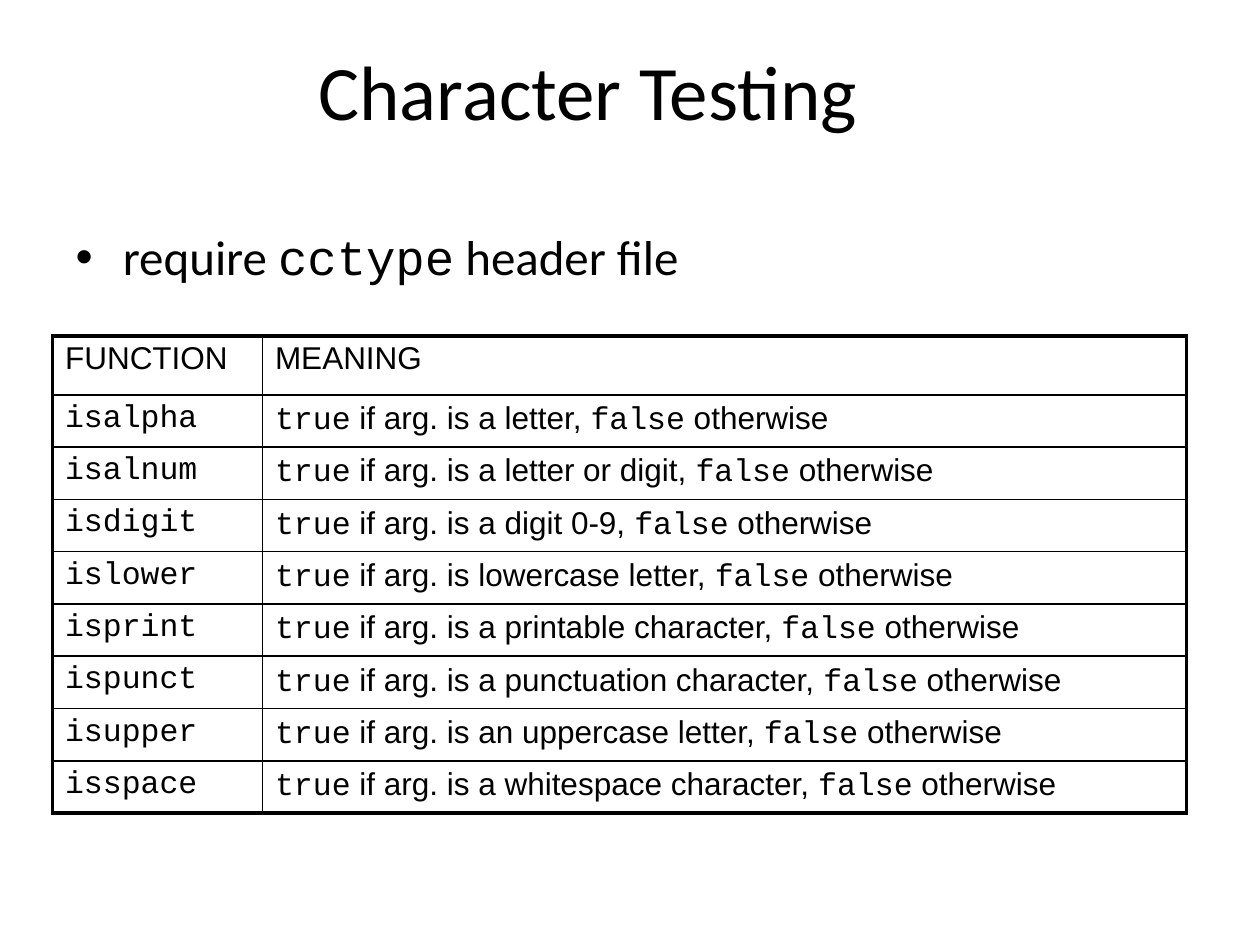
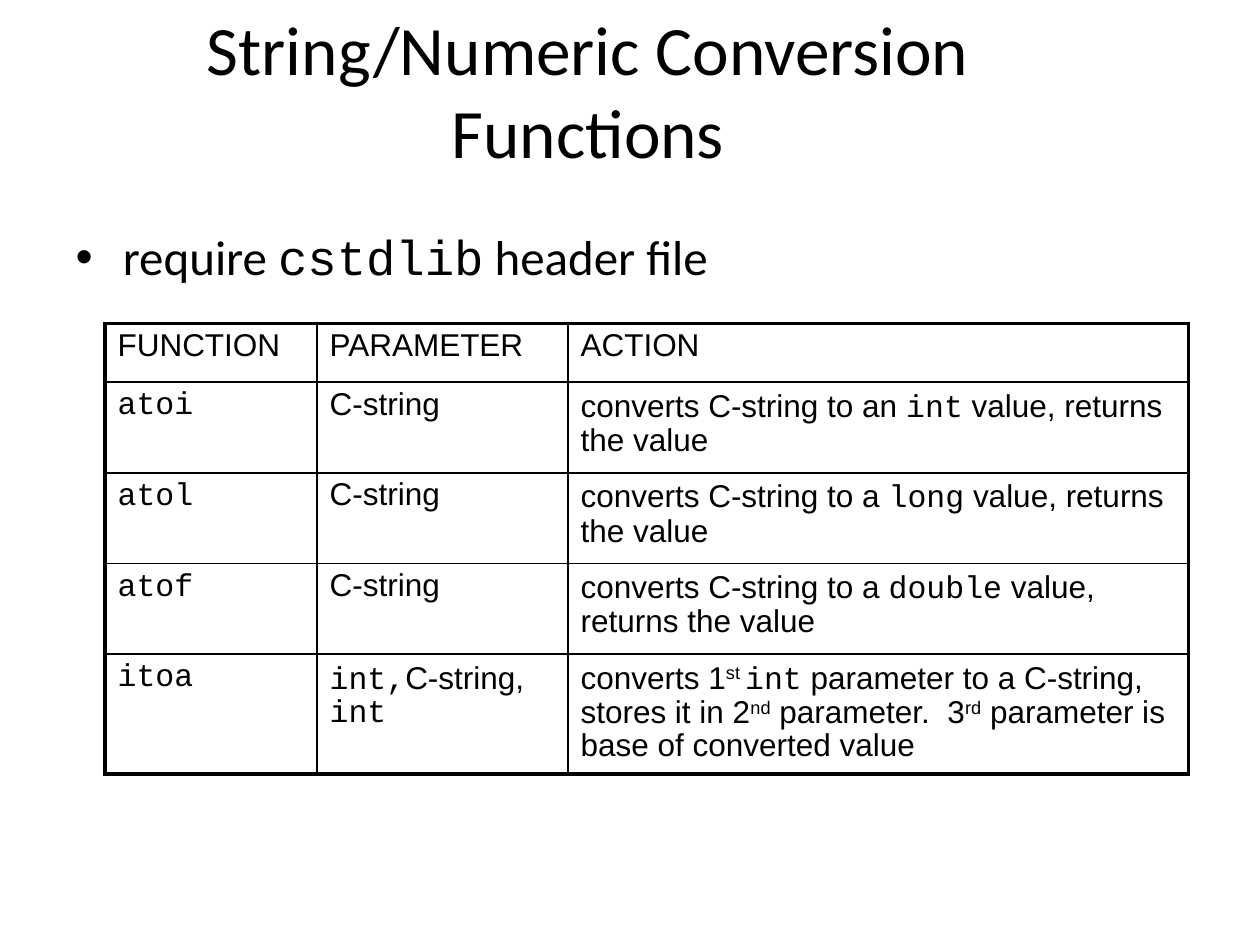
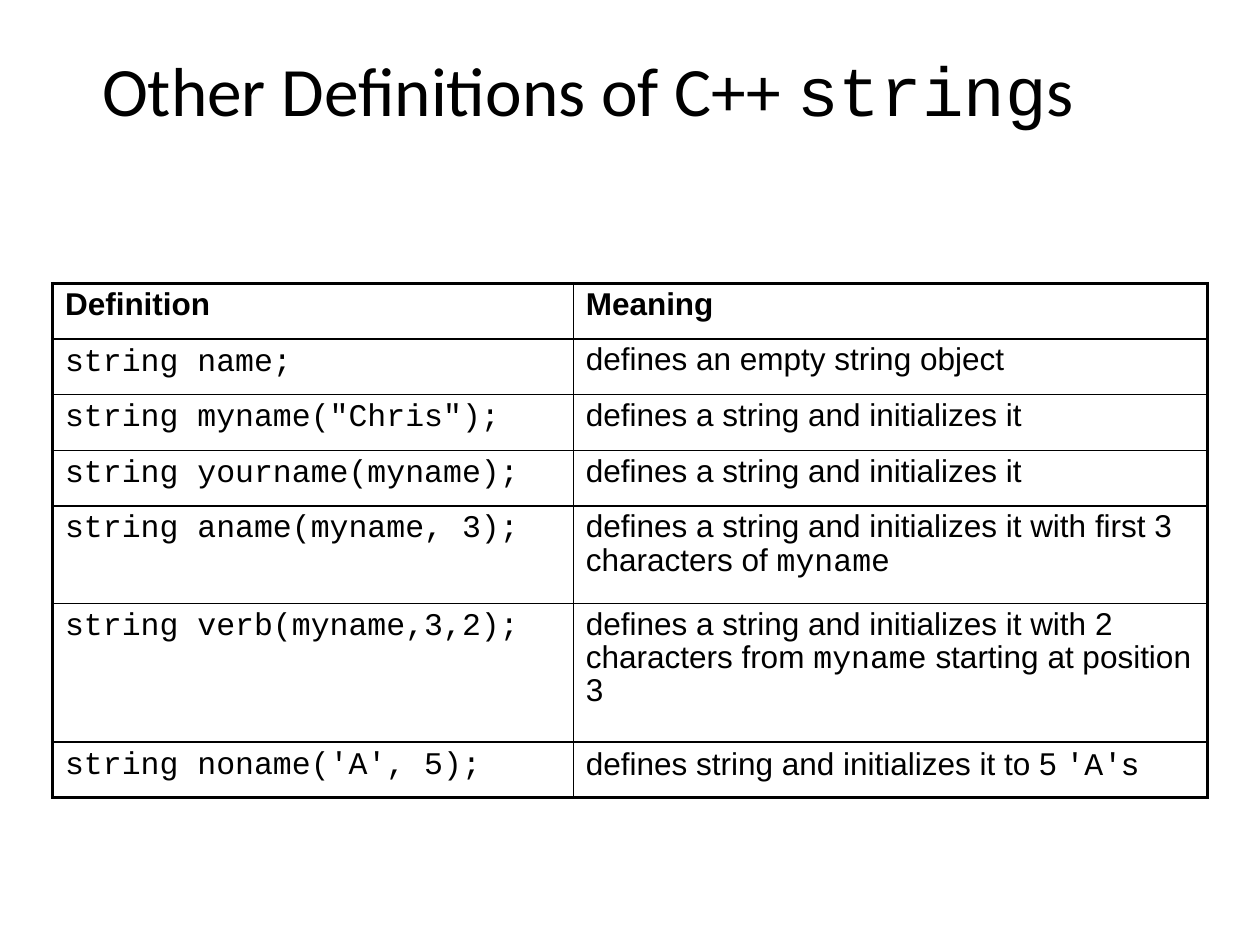
from dataclasses import dataclass

from lxml.etree import SubElement
from pptx import Presentation
from pptx.dml.color import RGBColor
from pptx.enum.text import MSO_ANCHOR, MSO_AUTO_SIZE, PP_ALIGN
from pptx.oxml.ns import qn
from pptx.util import Inches, Pt

# Shared look; lengths are grid units, 120 columns by 90 rows on the slide
COLORS = {"ink": "000000"}
HEADING_FONT, TABLE_FONT, CODE_FONT = "Calibri", "Arial", "Courier New"
TITLE_AREA = (6, 1, 100, 15)
BODY_LEFT, BODY_TOP = 6, 21
BODY_SIZE, CELL_SIZE = 28, 18
OUTER_LINE, INNER_LINE = 2.25, 1
TITLE_AND_BODY, TITLE_ONLY = 1, 5


@dataclass
class Grid:
    left: float
    top: float
    columns: list[float]
    heights: list[float]
    rows: list[tuple[str, ...]]
    line_spacing: float = 0.95
    bold_header: bool = False


@dataclass
class Page:
    title: str
    title_size: float
    grid: Grid
    bullet: str = ""
    bullet_area: tuple[float, float] = (0, 0)


def units(count: float) -> int:
    return Inches(count / 12)


def place(shape, left: float, top: float, width: float, height: float) -> None:
    shape.left, shape.top = units(left), units(top)
    shape.width, shape.height = units(width), units(height)


def write(paragraph, text: str, font_name: str, size: float, bold: bool = False) -> None:
    """Write text in which `...` marks code and ^...^ marks superscript."""
    paragraph.font.size = Pt(size)
    paragraph.font.bold = bold
    paragraph.font.color.rgb = RGBColor.from_string(COLORS["ink"])
    for code_index, part in enumerate(text.split("`")):
        for raised_index, words in enumerate(part.split("^")):
            if not words:
                continue
            span = paragraph.add_run()
            span.text = words
            span.font.name = CODE_FONT if code_index % 2 else font_name
            span.font.size = Pt(size)
            if raised_index % 2:
                span.font._element.set("baseline", "30000")


def draw_borders(cell, at_left: bool, at_right: bool, at_top: bool, at_bottom: bool) -> None:
    properties = cell._tc.get_or_add_tcPr()
    edges = {"lnL": at_left, "lnR": at_right, "lnT": at_top, "lnB": at_bottom}
    for tag, is_outer in edges.items():
        width = Pt(OUTER_LINE if is_outer else INNER_LINE)
        line = SubElement(properties, qn(f"a:{tag}"), w=str(width))
        fill = SubElement(line, qn("a:solidFill"))
        SubElement(fill, qn("a:srgbClr"), val=COLORS["ink"])


def draw_grid(slide, grid: Grid) -> None:
    row_count, column_count = len(grid.rows), len(grid.columns)
    frame = slide.shapes.add_table(
        row_count, column_count, units(grid.left), units(grid.top),
        units(sum(grid.columns)), units(sum(grid.heights)))
    table = frame.table
    table.first_row = table.horz_banding = False
    for column, width in zip(table.columns, grid.columns):
        column.width = units(width)
    for row, height in zip(table.rows, grid.heights):
        row.height = units(height)
    for row_index, texts in enumerate(grid.rows):
        for column_index, text in enumerate(texts):
            cell = table.cell(row_index, column_index)
            draw_borders(cell, column_index == 0, column_index == column_count - 1,
                         row_index == 0, row_index == row_count - 1)
            cell.fill.background()
            paragraph = cell.text_frame.paragraphs[0]
            paragraph.line_spacing = grid.line_spacing
            write(paragraph, text, TABLE_FONT, CELL_SIZE,
                  grid.bold_header and row_index == 0)


def draw_page(deck, page: Page) -> None:
    layout = TITLE_AND_BODY if page.bullet else TITLE_ONLY
    slide = deck.slides.add_slide(deck.slide_layouts[layout])

    # Title
    title = slide.shapes.title
    place(title, *TITLE_AREA)
    title.text_frame.auto_size = MSO_AUTO_SIZE.NONE
    title.text_frame.vertical_anchor = MSO_ANCHOR.MIDDLE
    heading = title.text_frame.paragraphs[0]
    heading.alignment = PP_ALIGN.CENTER
    write(heading, page.title, HEADING_FONT, page.title_size)

    # Bullet
    if page.bullet:
        body = slide.placeholders[1]
        place(body, BODY_LEFT, BODY_TOP, *page.bullet_area)
        body.text_frame.auto_size = MSO_AUTO_SIZE.NONE
        write(body.text_frame.paragraphs[0], page.bullet, HEADING_FONT, BODY_SIZE)

    draw_grid(slide, page.grid)


# Content
CHARACTER_TESTS = {
    "isalpha": "is a letter",
    "isalnum": "is a letter or digit",
    "isdigit": "is a digit 0-9",
    "islower": "is lowercase letter",
    "isprint": "is a printable character",
    "ispunct": "is a punctuation character",
    "isupper": "is an uppercase letter",
    "isspace": "is a whitespace character",
}
CONVERSIONS = {"atoi": "an `int`", "atol": "a `long`", "atof": "a `double`"}

PAGES = [
    Page(
        "Character Testing", 44,
        Grid(5, 32, [20, 88], [5.6] + [4.98] * 8, [
            ("FUNCTION", "MEANING"),
            *((f"`{name}`", f"`true` if arg. {test}, `false` otherwise")
              for name, test in CHARACTER_TESTS.items()),
        ]),
        "require `cctype` header file", (103.7, 7.1)),
    Page(
        "String/Numeric Conversion Functions", 39.6,
        Grid(10, 30.8, [20.2, 23.9, 59.1], [5.6] + [8.64] * 3 + [11.4], [
            ("FUNCTION", "PARAMETER", "ACTION"),
            *((f"`{name}`", "C-string",
               f"converts C-string to {kind} value, returns the value")
              for name, kind in CONVERSIONS.items()),
            ("`itoa`", "`int,`C-string, `int`",
             "converts 1^st ^`int` parameter to a C-string, stores it in 2^nd^ "
             "parameter.  3^rd^ parameter is base of converted value"),
        ]),
        "require `cstdlib` header file", (104.8, 9)),
    Page(
        "Other Definitions of C++ `string`s", 39.6,
        Grid(5, 27, [49.6, 60.4], [5.3] * 4 + [9.3, 13.2, 5.3], [
            ("Definition", "Meaning"),
            ("`string name;`", "defines an empty string object"),
            ('`string myname("Chris");`', "defines a string and initializes it"),
            ("`string yourname(myname);`", "defines a string and initializes it"),
            ("`string aname(myname, 3);`",
             "defines a string and initializes it with first 3 characters of `myname`"),
            ("`string verb(myname,3,2);`",
             "defines a string and initializes it with 2 characters from `myname` "
             "starting at position 3"),
            ("`string noname('A', 5);`",
             "defines string and initializes it to 5 `'A'`s"),
        ], line_spacing=0.9, bold_header=True)),
]


def main() -> None:
    deck = Presentation()
    deck.slide_width, deck.slide_height = units(120), units(90)
    for page in PAGES:
        draw_page(deck, page)
    deck.save("out.pptx")


if __name__ == "__main__":
    main()
